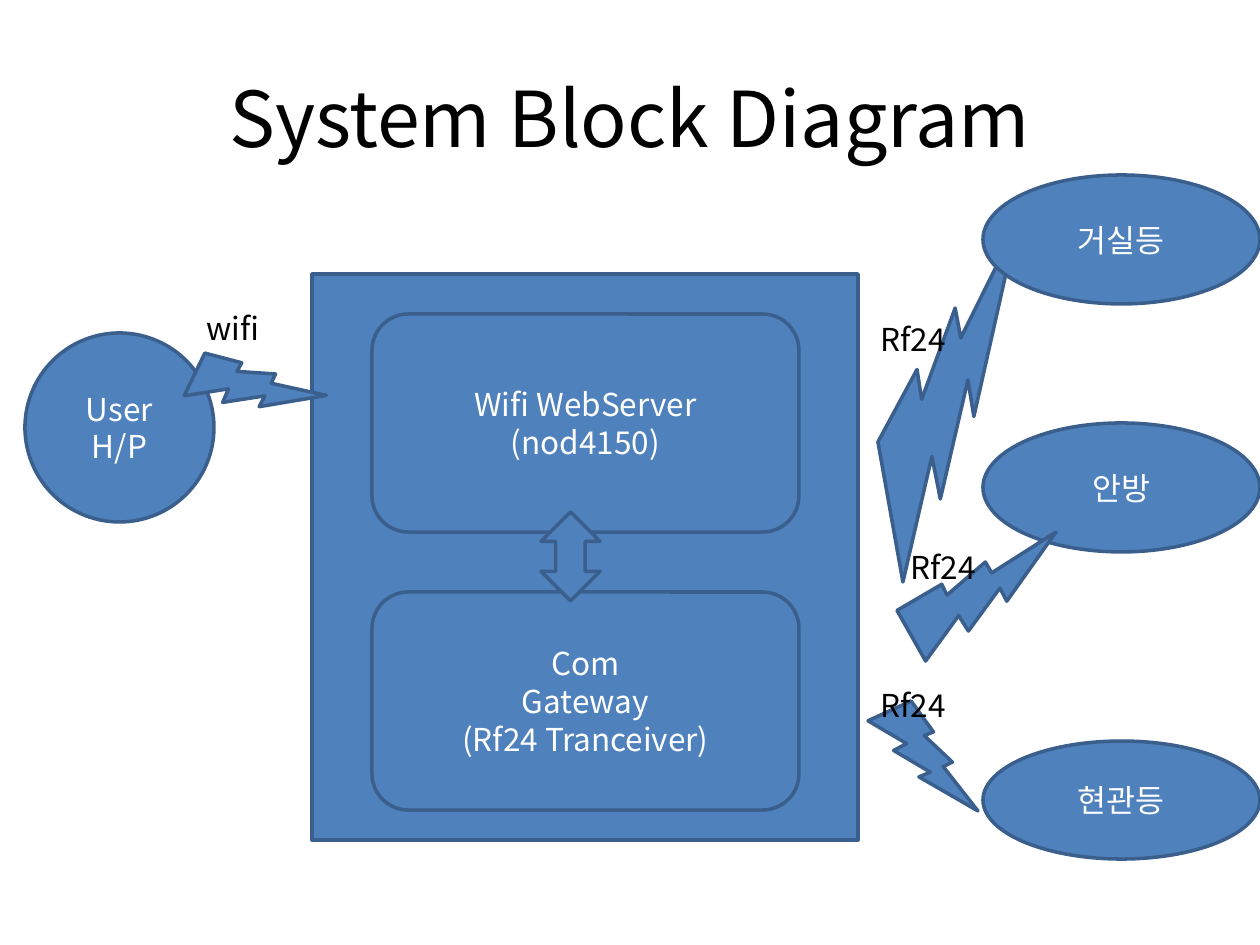
from pptx import Presentation, util as u
from pptx.dml.color import RGBColor
from pptx.enum import shapes, text
from pptx.oxml.ns import qn

PX = u.Inches(1) / 126
HUES = {"fill": "4F81BD", "line": "3A5F8C", "light": "FFFFFF", "dark": "000000"}
FONT = "Noto Sans CJK KR"
KIND = shapes.MSO_SHAPE

deck = Presentation()
deck.slide_width, deck.slide_height = u.Inches(10), u.Inches(7.5)
slide = deck.slides.add_slide(deck.slide_layouts[6])


def hue(name):
    return RGBColor.from_string(HUES[name])


def emu(box):
    return [round(n * PX) for n in box]


def write(shape, lines, color, align, size=18):
    frame = shape.text_frame
    frame.word_wrap = True
    frame.text = "\n".join(lines)
    for par in frame.paragraphs:
        par.alignment = align
        font = par.font
        font.name, font.size = FONT, u.Pt(size)
        font.color.rgb = hue(color)
        # Korean glyphs take the East Asian font
        east = font._element.makeelement(qn("a:ea"), {"typeface": FONT})
        font._element.find(qn("a:latin")).addnext(east)


def block(kind, box, lines=(), turn=0):
    shape = slide.shapes.add_shape(kind, *emu(box))
    shape.shadow.inherit = False
    shape.fill.solid()
    shape.fill.fore_color.rgb = hue("fill")
    shape.line.color.rgb = hue("line")
    shape.line.width = u.Pt(2)
    shape.rotation = turn
    if lines:
        shape.text_frame.vertical_anchor = text.MSO_ANCHOR.MIDDLE
        write(shape, lines, "light", text.PP_ALIGN.CENTER)


def label(x, y, word):
    box = slide.shapes.add_textbox(*emu((x, y, 129, 50)))
    write(box, [word], "dark", text.PP_ALIGN.LEFT)


def title(box, words):
    shape = slide.shapes.add_textbox(*emu(box))
    shape.text_frame.vertical_anchor = text.MSO_ANCHOR.MIDDLE
    write(shape, [words], "dark", text.PP_ALIGN.CENTER, 44)


def hub(x, y, w, h):
    block(KIND.RECTANGLE, (x, y, w, h))
    parts = [["Wifi WebServer", "(nod4150)"],
             ["Com", "Gateway", "(Rf24 Tranceiver)"]]
    for i, lines in enumerate(parts):
        block(KIND.ROUNDED_RECTANGLE,
              (x + 60, y + 40 + 278 * i, w - 119, 218), lines)
    block(KIND.UP_DOWN_ARROW, (x + 229, y + 238, 59, 89))


def user(x, y, size):
    block(KIND.OVAL, (x, y, size, size), ["User", "H/P"])
    block(KIND.LIGHTNING_BOLT, (x + 169, y, 110, 110), turn=320.5)
    label(x + 169, y - 30, "wifi")


def room(x, y, w, h, name, bolt, turn, tag, front=False):
    """Bolt and tag are placed from the room's corner."""
    def oval():
        block(KIND.OVAL, (x, y, w, h), [name])

    if not front:
        oval()
    dx, dy, *size = bolt
    block(KIND.LIGHTNING_BOLT, (x + dx, y + dy, *size), turn=turn)
    label(x + tag[0], y + tag[1], "Rf24")
    if front:
        oval()


title((63, 38, 1134, 158), "System Block Diagram")
hub(312, 274, 546, 566)
user(25, 333, 189)

# Rooms down the right edge
room(983, 175, 277, 129, "거실등", (-214, 159, 357, 139), 270, (-115, 139), True)
room(983, 423, 277, 129, "안방", (-71, 94, 129, 159), 270, (-85, 119))
room(983, 741, 277, 118, "현관등", (-115, -40, 110, 110), 0, (-115, -61))

deck.save("out.pptx")
